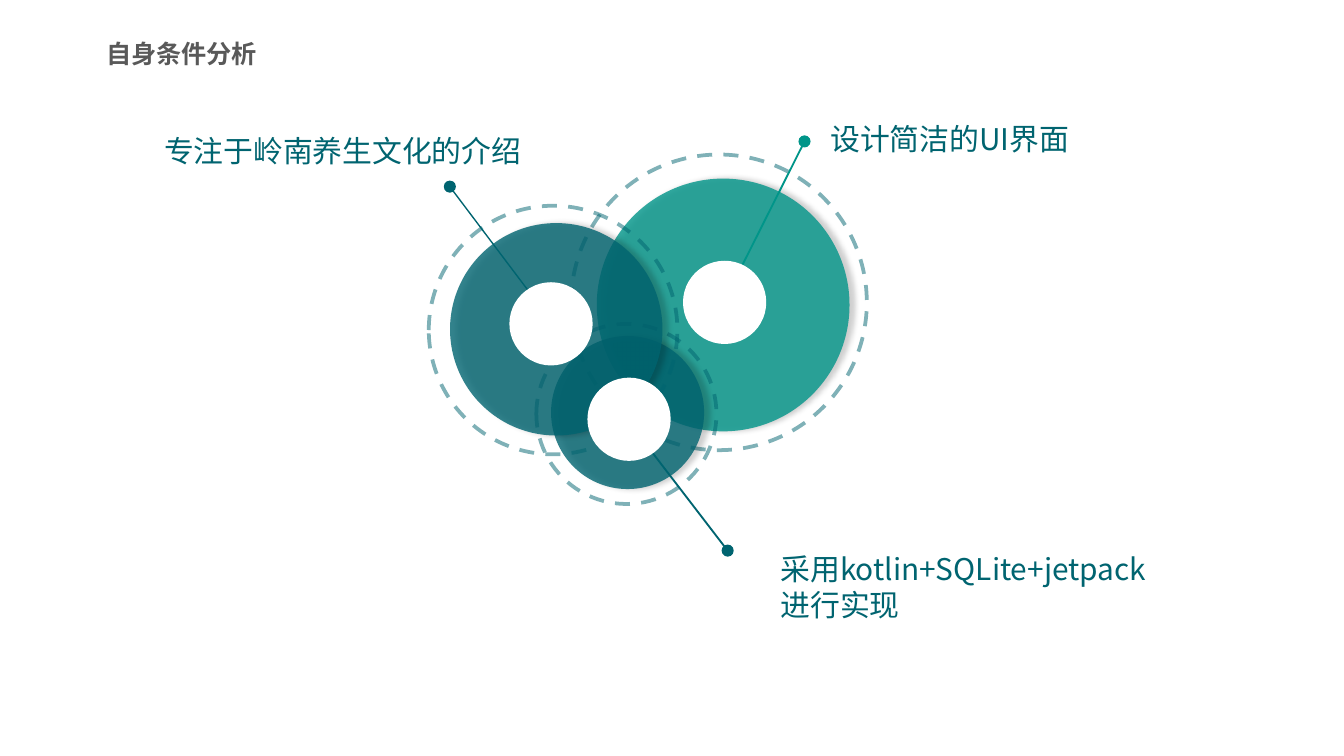
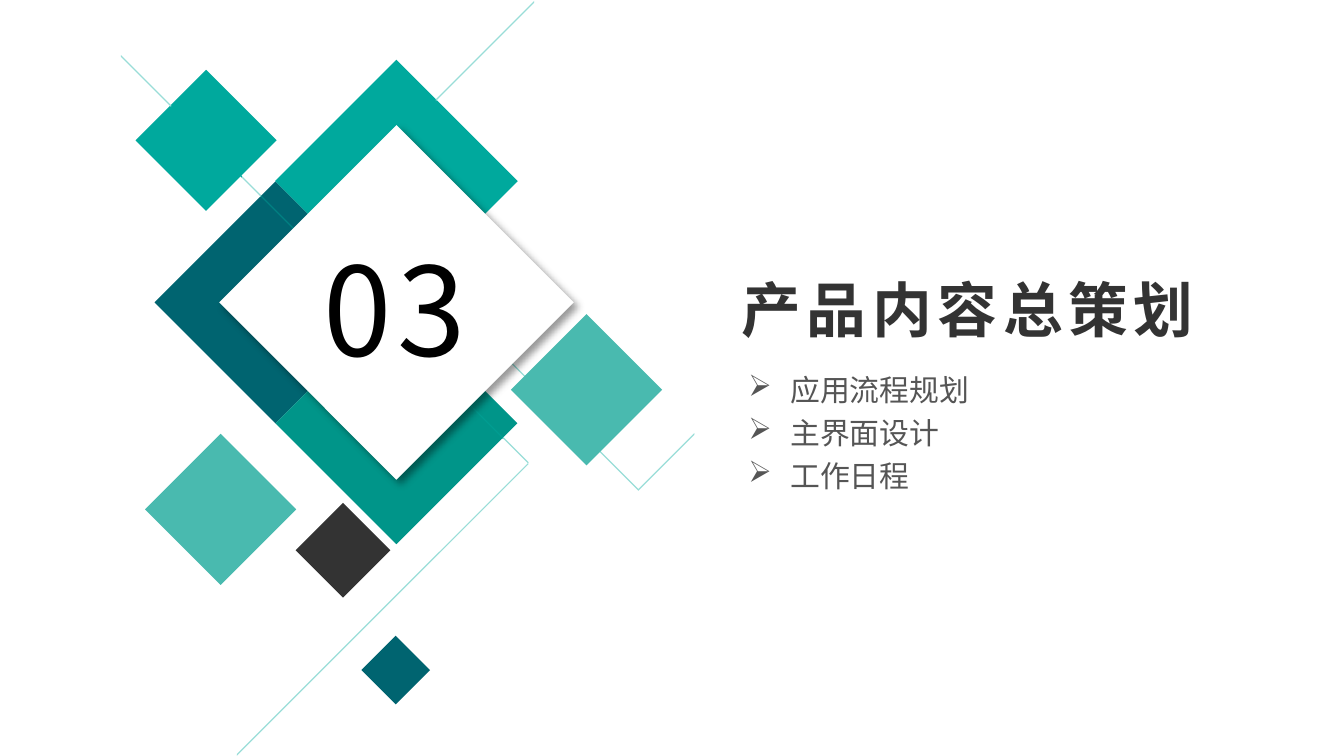
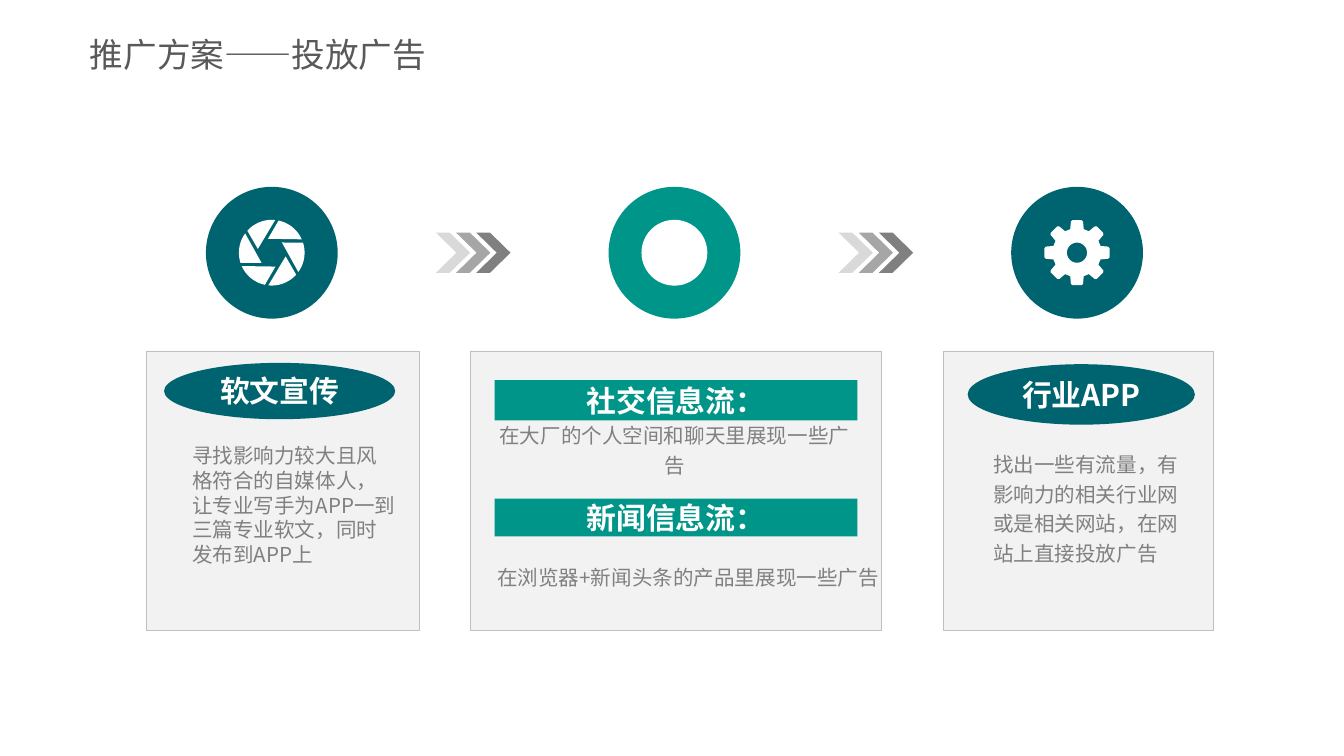
from math import cos, radians, sin

from lxml.etree import SubElement
from pptx import Presentation
from pptx.dml.color import RGBColor
from pptx.enum.dml import MSO_LINE
from pptx.enum.shapes import MSO_CONNECTOR, MSO_SHAPE
from pptx.enum.text import MSO_ANCHOR, MSO_AUTO_SIZE, PP_ALIGN
from pptx.oxml.ns import qn
from pptx.util import Pt

FONT = "Noto Sans CJK SC"
DEEP, TEAL, BRIGHT, SOFT, PALE = "006470", "009589", "00A99D", "49BAAF", "99DDD8"
WHITE, BLACK, INK, TITLE_GREY, LIST_GREY, BODY_GREY = (
    "FFFFFF", "000000", "333333", "595959", "555555", "808080")

MIDDLE = {"vertical_anchor": MSO_ANCHOR.MIDDLE}
NO_MARGINS = {"margin_left": 0, "margin_top": 0, "margin_right": 0, "margin_bottom": 0}
GROW = {"auto_size": MSO_AUTO_SIZE.SHAPE_TO_FIT_TEXT}
CENTERED = {"alignment": PP_ALIGN.CENTER}
LOOSE = {"line_spacing": 1.2}


def rgb(value):
    return RGBColor.from_string(value)


def pts(*values):
    return [Pt(value) for value in values]


def apply(target, formats):
    for name, value in formats.items():
        setattr(target, name, value)


def write(shape, lines, size, color, bold=False, frame=None, paragraph=None, spacing=0):
    """Fill a shape with one paragraph per line, all in one style."""
    text_frame = shape.text_frame
    apply(text_frame, {"word_wrap": True, **(frame or {})})
    for index, line in enumerate(lines):
        para = text_frame.add_paragraph() if index else text_frame.paragraphs[0]
        apply(para, {"alignment": PP_ALIGN.LEFT, **(paragraph or {})})
        run = para.add_run()
        run.text = line
        apply(run.font, {"size": Pt(size), "bold": bold, "name": FONT})
        run.font.color.rgb = rgb(color)
        properties = run.font._element
        SubElement(properties, qn("a:ea"), typeface=FONT)
        if spacing:
            properties.set("spc", str(spacing * 100))


def add_text(slide, box, lines, size, color, **style):
    shape = slide.shapes.add_textbox(*pts(*box))
    write(shape, lines, size, color, **style)
    return shape


def add_title(slide, box, title, size, bold=False):
    add_text(slide, box, [title], size, TITLE_GREY, bold=bold,
             frame={**MIDDLE, "margin_left": 0, "margin_right": 0})


def paint(shape, fill=None, line=None, width=0.25):
    shape.shadow.inherit = False
    if fill:
        shape.fill.solid()
        shape.fill.fore_color.rgb = rgb(fill)
    else:
        shape.fill.background()
    if line:
        shape.line.color.rgb = rgb(line)
        shape.line.width = Pt(width)
    else:
        shape.line.fill.background()
    return shape


def add_box(slide, kind, box, **colors):
    return paint(slide.shapes.add_shape(kind, *pts(*box)), **colors)


def add_circle(slide, x, y, diameter, **colors):
    """Draw a circle around its centre."""
    box = (x - diameter / 2, y - diameter / 2, diameter, diameter)
    return add_box(slide, MSO_SHAPE.OVAL, box, **colors)


def add_outline(slide, contours, fill):
    """Draw closed contours as one filled freeform."""
    builder = None
    for contour in contours:
        start, *rest = [pts(*point) for point in contour]
        if builder is None:
            builder = slide.shapes.build_freeform(*start)
        else:
            builder.move_to(*start)
        builder.add_line_segments(rest, close=True)
    return paint(builder.convert_to_shape(), fill=fill)


def set_alpha(shape, percent):
    for color in list(shape._element.spPr.iter(qn("a:srgbClr"))):
        SubElement(color, qn("a:alpha"), val=str(percent * 1000))


def add_shadow(shape, percent, blur, distance, angle):
    effects = shape._element.spPr.find(qn("a:effectLst"))
    outer = SubElement(effects, qn("a:outerShdw"), blurRad=str(Pt(blur)),
                       dist=str(Pt(distance)), dir=str(angle * 60000),
                       algn="ctr", rotWithShape="0")
    color = SubElement(outer, qn("a:srgbClr"), val=BLACK)
    SubElement(color, qn("a:alpha"), val=str(percent * 1000))


def polar(x, y, radius, angle):
    return x + radius * cos(radians(angle)), y + radius * sin(radians(angle))


# Strengths: overlapping discs with pointers

def strength_discs(slide, left, top):
    discs = [  # disc, dashed ring: x, y, diameter
        (TEAL, (158.4, 91.4, 135.4), (156.2, 90, 158.4)),
        (DEEP, (107.2, 149, 82), (106.6, 149.8, 96.5)),
        (DEEP, (69, 104.4, 113.8), (67.3, 104.8, 133.2)),
    ]
    pointers = [  # dot, inner end, width
        (TEAL, (202, 3.8), (164.1, 79.2), 1),
        (DEEP, (12, 28), (60.4, 92.2), 0.75),
        (DEEP, (160.8, 223), (112.3, 159.8), 1),
    ]
    hubs = [(159.2, 90), (66.2, 101.5), (108, 152.6)]

    for color, (x, y, size), (ring_x, ring_y, ring_size) in discs:
        disc = add_circle(slide, left + x, top + y, size, fill=color)
        set_alpha(disc, 80)
        add_shadow(disc, 23, 3, 3, 0)
        ring = add_circle(slide, left + ring_x, top + ring_y, ring_size, line=DEEP, width=2)
        ring.line.dash_style = MSO_LINE.DASH
        set_alpha(ring, 50)
    for color, (x, y), (end_x, end_y), width in pointers:
        pointer = slide.shapes.add_connector(
            MSO_CONNECTOR.STRAIGHT, *pts(left + x, top + y, left + end_x, top + end_y))
        pointer.line.color.rgb = rgb(color)
        pointer.line.width = Pt(width)
        SubElement(pointer._element.spPr, qn("a:effectLst"))
        add_circle(slide, left + x, top + y, 6.5, fill=color)
    for x, y in hubs:
        add_circle(slide, left + x, top + y, 44.6, fill=WHITE)


def strengths_slide(slide):
    add_title(slide, (56.9, 17.3, 126, 22.3), "自身条件分析", 13.5, bold=True)
    strength_discs(slide, 229, 72)
    add_text(slide, (77.8, 67.7, 211.7, 36.7), ["专注于岭南养生文化的介绍"], 16, DEEP,
             paragraph=CENTERED)
    add_text(slide, (437.8, 61.2, 160.6, 33.1), ["设计简洁的UI界面"], 16, DEEP)
    add_text(slide, (411.1, 291.6, 268.6, 29.5),
             ["采用kotlin+SQLite+jetpack", "进行实现"], 16, DEEP)


# Section divider: diamonds, ribbons and contents

def diamond(slide, x, y, radius, fill):
    corners = [polar(x, y, radius, angle) for angle in range(0, 360, 90)]
    return add_outline(slide, [corners], fill)


def ribbons(slide, left, top, color, *lines):
    """Draw thin diagonal ribbons along the given lines."""
    contours = []
    for line in lines:
        upper = [(left + x, top + y) for x, y in line]
        contours.append(upper + [(x, y + 0.9) for x, y in reversed(upper)])
    add_outline(slide, contours, color)


def section_emblem(slide, left, top, number):
    """Draw the emblem around the centre of its white diamond."""
    back = [(-64.8, 0, 64.8, DEEP), (0, -65, 65, BRIGHT), (-102, -86.8, 37.8, BRIGHT),
            (0, 64.8, 64.8, TEAL), (-28.6, 132.8, 25.4, INK)]
    front = [(101.8, 46.8, 40.5, SOFT), (-94.2, 110.9, 40.5, SOFT), (-0.4, 197, 18.4, DEEP)]
    ribbon_lines = [
        (PALE, [(14.6, -15), (129.6, 100), (159.6, 70)], [(73.8, -161.5), (21, -108.7)]),
        (BRIGHT, [(21, -108.7), (-28.6, -59.1), (14.6, -15)]),
        (PALE, [(57.2, 72), (70.9, 85.7), (-85.5, 242)], [(-82.8, -67.7), (-72.4, -57.3)],
         [(-147.6, -132.5), (-120.6, -105.5)]),
        ("008082", [(-72.4, -57.3), (-7.6, 7.5)]),
        (BRIGHT, [(-120.6, -105.5), (-82.8, -67.7)]),
        ("009D91", [(-7.6, 7.5), (57.2, 72.3)]),
    ]
    for x, y, radius, color in back:
        diamond(slide, left + x, top + y, radius, color)
    for color, *lines in ribbon_lines:
        ribbons(slide, left, top, color, *lines)
    add_shadow(diamond(slide, left, top, 95, WHITE), 40, 4, 3, 45)
    for x, y, radius, color in front:
        diamond(slide, left + x, top + y, radius, color)
    add_text(slide, (left - 46.1, top - 40.3, 100, 87.1), [number], 66, BLACK,
             frame=GROW, spacing=3)


def section_contents(slide, left, top, heading, topics):
    contents = add_text(slide, (left + 3.6, top + 49, 209.5, 77), topics, 16, LIST_GREY,
                        frame=GROW, paragraph=LOOSE)
    for paragraph in contents.text_frame.paragraphs:
        properties = paragraph._p.get_or_add_pPr()
        properties.set("marL", str(Pt(22.5)))
        properties.set("indent", str(-Pt(22.5)))
        SubElement(properties, qn("a:buChar"), char="➢")
    add_text(slide, (left, top, 324, 46.1), [heading], 32, INK, bold=True,
             frame=GROW, spacing=3)


def section_slide(slide):
    section_contents(slide, 390.2, 142.6, "产品内容总策划",
                     ["应用流程规划", "主界面设计", "工作日程"])
    section_emblem(slide, 212.4, 162, "03")


# Promotion: icons, arrows and cards

def triple_chevron(slide, left, top):
    for step, color in enumerate(["D9D9D9", "A6A6A6", "808080"]):
        chevron = add_box(slide, MSO_SHAPE.CHEVRON, (left + step * 10.8, top, 18.4, 21.6),
                          fill=color)
        chevron.adjustments[0] = 0.6


def gear_icon(slide, x, y):
    tooth = [(13.1, -16), (17, -11), (17.6, -8), (17.6, 8), (17, 11), (13.1, 16)]
    rim = [polar(x, y, radius, turn + angle)
           for turn in range(0, 360, 45) for radius, angle in tooth]
    hole = [polar(x, y, 5.4, angle) for angle in range(0, 360, 10)]
    add_outline(slide, [rim, hole], WHITE)


def aperture_icon(slide, x, y):
    blades = []
    for start in range(-84, 276, 60):
        arc = [polar(x, y, 17.6, start - turn) for turn in range(0, 55, 6)]
        blades.append(arc + [polar(x, y, 7.7, start - 81)])
    add_outline(slide, blades, WHITE)


def plain_icon(slide, x, y):
    add_circle(slide, x, y, 35.3, fill=WHITE)


def icon_row(slide, left, top):
    step = 215.7
    for gap in range(2):
        triple_chevron(slide, left + 87.9 + gap * step, top - 10.8)
    icons = [(DEEP, aperture_icon), (TEAL, plain_icon), (DEEP, gear_icon)]
    for index, (color, draw_icon) in enumerate(icons):
        x = left + index * step
        add_circle(slide, x, top, 70.6, fill=color)
        draw_icon(slide, x, top)


def card(slide, left, width, kind, entries):
    """Draw a grey card; entry boxes are measured from its corner."""
    top = 187.9
    add_box(slide, MSO_SHAPE.RECTANGLE, (left, top, width, 149.8), fill="F2F2F2", line="BFBFBF")
    for heading, color, (x, y, w, h), body, (body_x, body_y, body_w, body_h), style in entries:
        label = add_box(slide, kind, (left + x, top + y, w, h), fill=color)
        write(label, [heading], 16, WHITE, bold=True, paragraph=CENTERED,
              frame={**MIDDLE, **NO_MARGINS, "word_wrap": False})
        add_text(slide, (left + body_x, top + body_y, body_w, body_h), [body], 11,
                 BODY_GREY, **style)


def promotion_slide(slide):
    add_title(slide, (48.2, 13.7, 185, 30.2), "推广方案——投放广告", 18)
    icon_row(slide, 145.6, 135.4)
    feed = {"frame": {**MIDDLE, **NO_MARGINS}, "paragraph": {**CENTERED, **LOOSE}}
    card(slide, 252, 220.3, MSO_SHAPE.RECTANGLE, [
        ("社交信息流：", TEAL, (13, 15.8, 194.4, 21.6),
         "在大厂的个人空间和聊天里展现一些广告", (12.2, 33.8, 194.4, 36.7), feed),
        ("新闻信息流：", TEAL, (13, 79.2, 194.4, 20.2),
         "在浏览器+新闻头条的产品里展现一些广告", (13, 99.4, 207.4, 41.8), feed),
    ])
    card(slide, 505.4, 144.7, MSO_SHAPE.OVAL, [
        ("行业APP", DEEP, (13, 7.2, 121.7, 32.4),
         "找出一些有流量，有影响力的相关行业网或是相关网站，在网站上直接投放广告",
         (15.1, 51.8, 115.2, 81.4),
         {"frame": {**NO_MARGINS, "margin_left": Pt(11.5)}, "paragraph": LOOSE}),
    ])
    card(slide, 78.5, 146.2, MSO_SHAPE.OVAL, [
        ("软文宣传", DEEP, (9.4, 6.5, 123.8, 30.2),
         "寻找影响力较大且风格符合的自媒体人，让专业写手为APP一到三篇专业软文，同时发布到APP上",
         (17.3, 46.1, 123.8, 73.4), {"frame": GROW}),
    ])


def main():
    presentation = Presentation()
    apply(presentation, {"slide_width": Pt(720), "slide_height": Pt(405)})
    for build in (strengths_slide, section_slide, promotion_slide):
        build(presentation.slides.add_slide(presentation.slide_layouts[6]))
    presentation.save("out.pptx")


if __name__ == "__main__":
    main()
